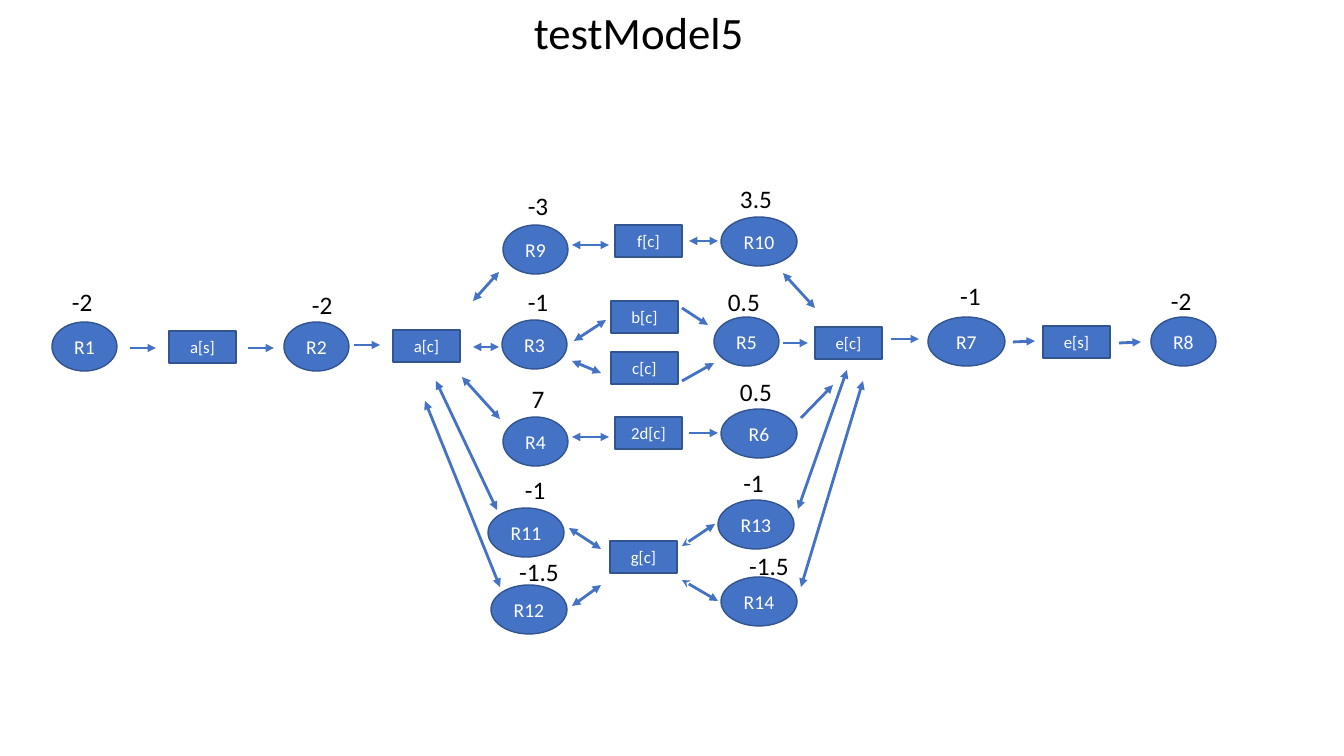
from dataclasses import dataclass

import lxml.etree
import pptx
import pptx.dml.color
import pptx.enum.shapes
import pptx.enum.text
import pptx.oxml.ns
import pptx.util

EMU_PER_PIXEL = 914400 / 100.8
COLORS = {"node": "4472C4", "outline": "325491", "node_text": "FFFFFF", "text": "000000"}
FONT = "Calibri"
METABOLITE_SIZE = (67, 32)
REACTION_HEIGHT = 49
FLUX_HEIGHT = 40
SHAPES = pptx.enum.shapes.MSO_SHAPE
ALIGN = pptx.enum.text.PP_ALIGN
ANCHOR = pptx.enum.text.MSO_ANCHOR


@dataclass
class Metabolite:
    name: str
    left: int
    top: int


@dataclass
class Reaction:
    name: str
    left: int
    top: int
    width: int
    flux: str
    flux_left: int
    flux_top: int
    flux_width: int
    flux_align: ALIGN = ALIGN.CENTER


@dataclass
class Arrow:
    x1: int
    y1: int
    x2: int
    y2: int
    start: str = ""
    end: str = "triangle"


def px(pixels: int) -> pptx.util.Emu:
    return pptx.util.Emu(round(pixels * EMU_PER_PIXEL))


def rgb(key: str) -> pptx.dml.color.RGBColor:
    return pptx.dml.color.RGBColor.from_string(COLORS[key])


def write(shape, text: str, *, size: int, color: str = "text",
          align=ALIGN.CENTER, anchor=ANCHOR.TOP) -> None:
    frame = shape.text_frame
    frame.word_wrap = False
    frame.vertical_anchor = anchor
    paragraph = frame.paragraphs[0]
    paragraph.alignment = align
    run = paragraph.add_run()
    run.text = text
    run.font.name = FONT
    run.font.size = pptx.util.Pt(size)
    run.font.color.rgb = rgb(color)


def draw_label(text: str, left: int, top: int, width: int, height: int, **text_format) -> None:
    box = slide.shapes.add_textbox(px(left), px(top), px(width), px(height))
    write(box, text, **text_format)


def draw_node(preset: SHAPES, text: str, left: int, top: int,
              width: int, height: int, size: int) -> None:
    node = slide.shapes.add_shape(preset, px(left), px(top), px(width), px(height))
    node.shadow.inherit = False
    node.fill.solid()
    node.fill.fore_color.rgb = rgb("node")
    node.line.color.rgb = rgb("outline")
    node.line.width = pptx.util.Pt(1)
    write(node, text, size=size, color="node_text", anchor=ANCHOR.MIDDLE)


def draw_metabolite(metabolite: Metabolite) -> None:
    draw_node(SHAPES.RECTANGLE, metabolite.name, metabolite.left, metabolite.top,
              *METABOLITE_SIZE, size=12)


def draw_reaction(reaction: Reaction) -> None:
    draw_node(SHAPES.OVAL, reaction.name, reaction.left, reaction.top,
              reaction.width, REACTION_HEIGHT, size=14)
    draw_label(reaction.flux, reaction.flux_left, reaction.flux_top,
               reaction.flux_width, FLUX_HEIGHT, size=18, align=reaction.flux_align)


def draw_arrow(arrow: Arrow) -> None:
    connector = slide.shapes.add_connector(
        pptx.enum.shapes.MSO_CONNECTOR.STRAIGHT,
        px(arrow.x1), px(arrow.y1), px(arrow.x2), px(arrow.y2))
    connector.line.color.rgb = rgb("node")
    connector.line.width = pptx.util.Pt(2)
    outline = connector.line._get_or_add_ln()
    for tag, head in (("a:headEnd", arrow.start), ("a:tailEnd", arrow.end)):
        if head:
            lxml.etree.SubElement(outline, pptx.oxml.ns.qn(tag), type=head)
    lxml.etree.SubElement(connector._element.spPr, pptx.oxml.ns.qn("a:effectLst"))


METABOLITES = [
    Metabolite("a[s]", 169, 331),
    Metabolite("a[c]", 393, 330),
    Metabolite("b[c]", 611, 301),
    Metabolite("c[c]", 611, 352),
    Metabolite("f[c]", 615, 225),
    Metabolite("2d[c]", 615, 417),
    Metabolite("g[c]", 610, 541),
    Metabolite("e[c]", 815, 327),
    Metabolite("e[s]", 1043, 326),
]

REACTIONS = [
    Reaction("R1", 52, 322, 65, "-2", 62, 281, 41, ALIGN.LEFT),
    Reaction("R2", 284, 322, 65, "-2", 302, 284, 41, ALIGN.LEFT),
    Reaction("R3", 502, 320, 65, "-1", 515, 281, 46),
    Reaction("R4", 503, 417, 65, "7", 515, 378, 46),
    Reaction("R5", 714, 317, 65, "0.5", 718, 281, 52),
    Reaction("R6", 721, 409, 76, "0.5", 730, 371, 52),
    Reaction("R7", 928, 317, 77, "-1", 950, 275, 41),
    Reaction("R8", 1151, 317, 65, "-2", 1161, 280, 41, ALIGN.LEFT),
    Reaction("R9", 503, 225, 65, "-3", 515, 185, 46),
    Reaction("R10", 721, 217, 76, "3.5", 730, 178, 52),
    Reaction("R11", 488, 508, 76, "-1", 512, 469, 46),
    Reaction("R12", 491, 585, 76, "-1.5", 509, 551, 60),
    Reaction("R13", 718, 500, 76, "-1", 733, 462, 41),
    Reaction("R14", 721, 577, 76, "-1.5", 739, 545, 60),
]

ONE_WAY = [
    Arrow(130, 348, 156, 348),
    Arrow(248, 348, 274, 348),
    Arrow(354, 345, 380, 345),
    Arrow(682, 308, 708, 325),
    Arrow(682, 381, 714, 363),
    Arrow(689, 433, 718, 433),
    Arrow(783, 343, 808, 343),
    Arrow(801, 418, 833, 385),
    Arrow(891, 339, 919, 339),
    Arrow(1013, 342, 1035, 341),
    Arrow(1119, 343, 1141, 342),
]

REVERSIBLE = [
    Arrow(*ends, start="triangle") for ends in (
        (473, 347, 499, 347), (473, 301, 499, 272), (500, 419, 462, 377),
        (497, 510, 436, 381), (500, 587, 425, 401), (572, 245, 609, 245),
        (574, 341, 606, 320), (572, 361, 601, 373), (572, 437, 609, 437),
        (569, 528, 601, 549), (572, 606, 601, 585), (689, 241, 718, 241),
        (783, 273, 815, 308), (798, 509, 847, 370), (801, 587, 863, 381),
    )
] + [
    Arrow(682, 546, 715, 524, start="stealth"),
    Arrow(682, 580, 718, 601, start="stealth"),
]

# Slide
presentation = pptx.Presentation()
presentation.slide_width = px(1344)
presentation.slide_height = px(756)
slide = presentation.slides.add_slide(presentation.slide_layouts[6])

# Title
draw_label("testModel5", 524, 0, 232, 64, size=32, align=ALIGN.LEFT)

# Reaction network
for metabolite in METABOLITES:
    draw_metabolite(metabolite)
for reaction in REACTIONS:
    draw_reaction(reaction)
for arrow in ONE_WAY + REVERSIBLE:
    draw_arrow(arrow)

presentation.save("out.pptx")
